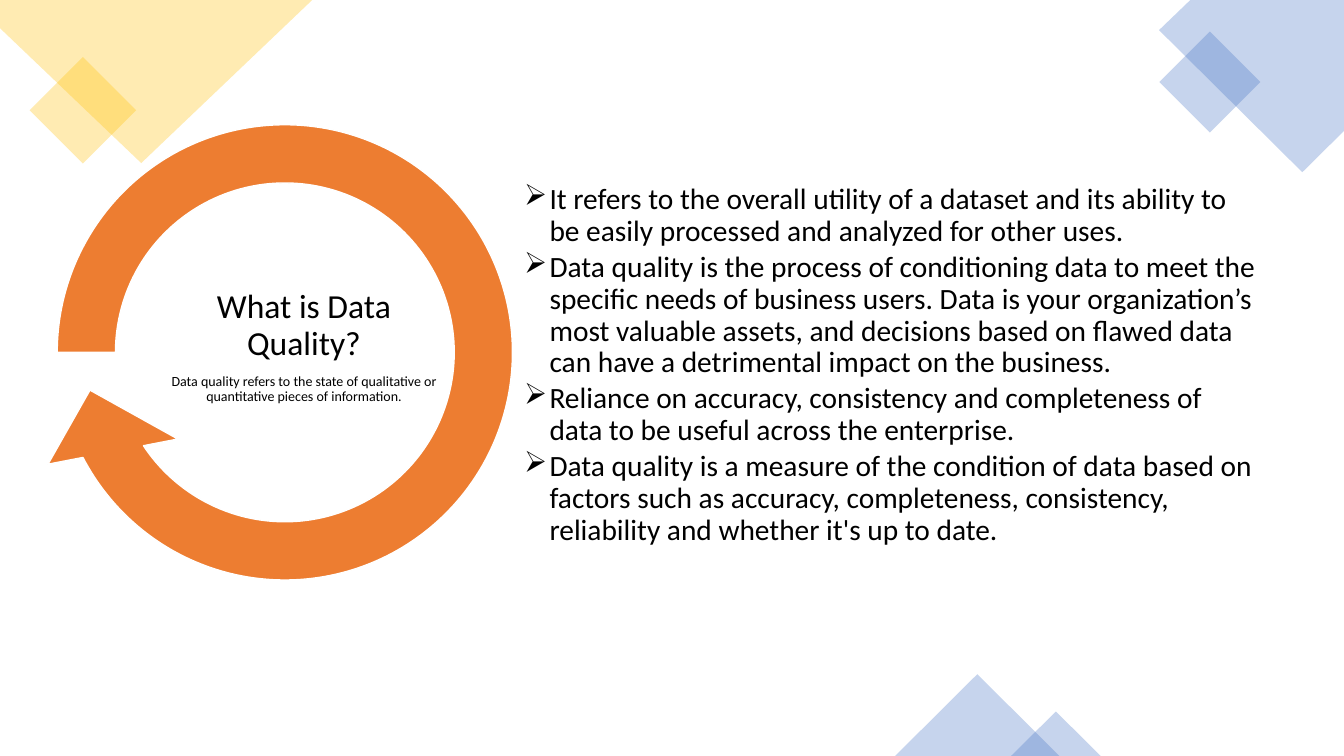
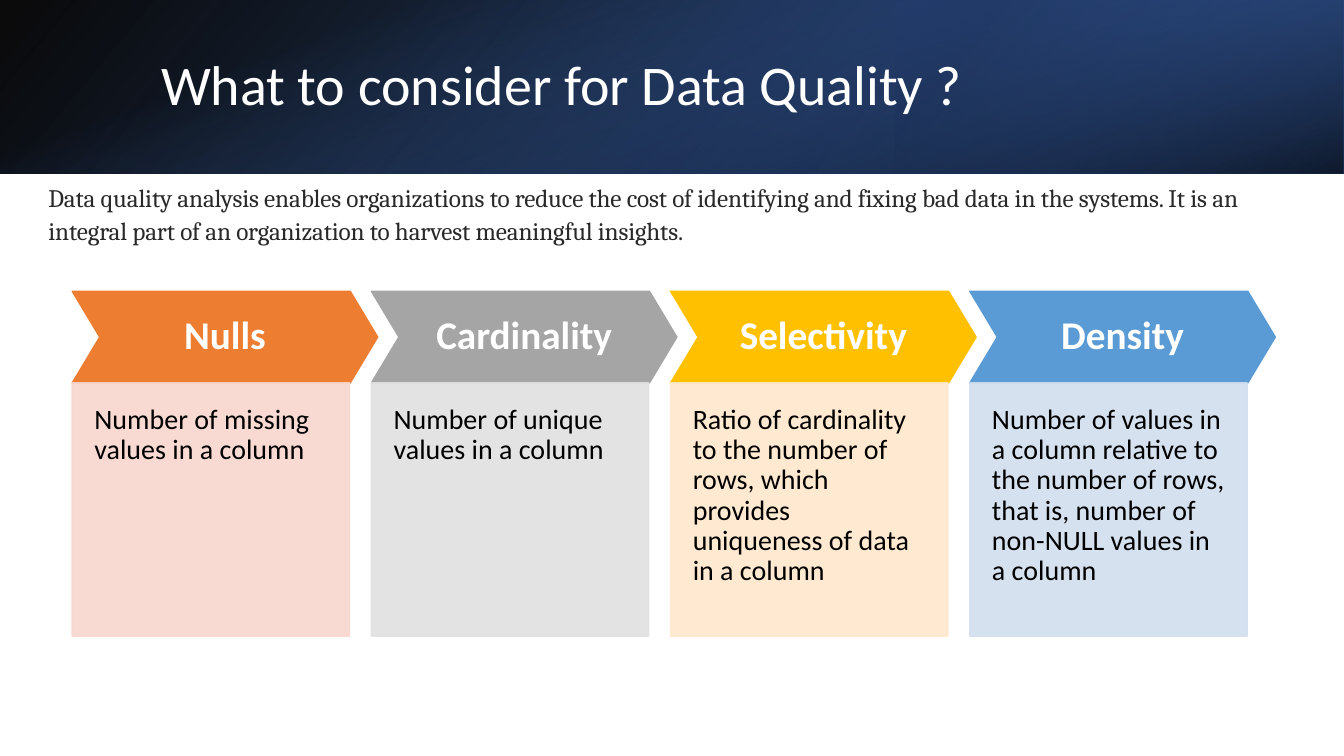
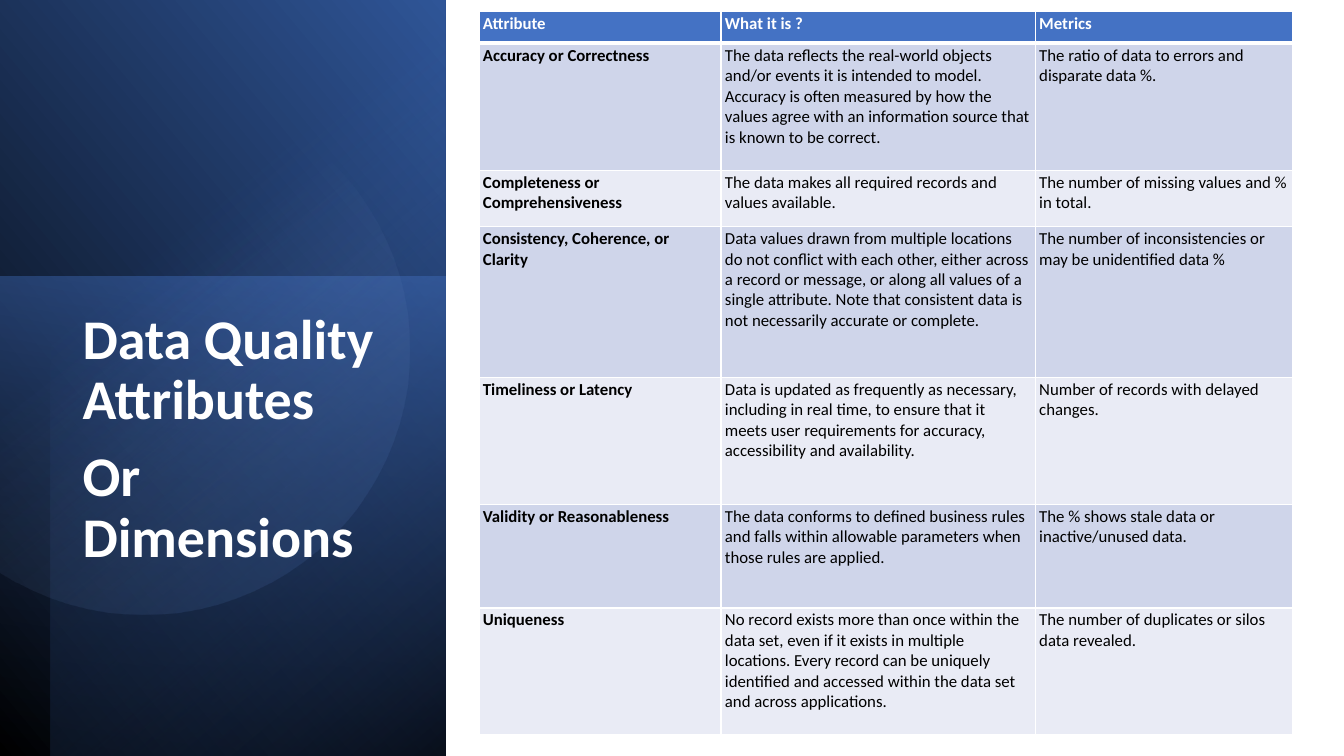
from math import acos, cos, sin

from lxml.etree import SubElement
from pptx import Presentation
from pptx.dml.color import RGBColor
from pptx.enum.shapes import MSO_SHAPE
from pptx.enum.text import MSO_ANCHOR, MSO_AUTO_SIZE, PP_ALIGN
from pptx.oxml.ns import qn
from pptx.util import Cm, Pt

BLACK = RGBColor(0x00, 0x00, 0x00)
WHITE = RGBColor(0xFF, 0xFF, 0xFF)
INK = RGBColor(0x29, 0x29, 0x29)
BLUE = RGBColor(0x44, 0x72, 0xC4)
DEEP_BLUE = RGBColor(0x2F, 0x55, 0x97)
NAVY = RGBColor(0x20, 0x38, 0x64)
PALE_BLUE = RGBColor(0x8F, 0xAA, 0xDC)
GOLD = RGBColor(0xFF, 0xC0, 0x00)
ORANGE = RGBColor(0xED, 0x7D, 0x31)
GREY = RGBColor(0xA5, 0xA5, 0xA5)
SKY = RGBColor(0x5B, 0x9B, 0xD5)
ORANGE_TINT = RGBColor(0xF8, 0xD7, 0xCE)
GREY_TINT = RGBColor(0xE1, 0xE1, 0xE1)
GOLD_TINT = RGBColor(0xFF, 0xE8, 0xCC)
SKY_TINT = RGBColor(0xD2, 0xDE, 0xEF)
ROW_TINTS = (RGBColor(0xE9, 0xEB, 0xF5), RGBColor(0xCF, 0xD5, 0xEA))

SLIDE_W, SLIDE_H = 33.87, 19.05
TITLE_ONLY, BLANK_MARGIN = 5, (0.25, 0.13, 0.25, 0.13)

DEFINITION_TITLE = [
    ("What is Data Quality?", {"size": Pt(24)}),
    ("Data quality refers to the state of qualitative or quantitative pieces of information.", {"size": Pt(10)}),
]
DEFINITION_POINTS = [
    "It refers to the overall utility of a dataset and its ability to be easily processed and analyzed for other uses.",
    "Data quality is the process of conditioning data to meet the specific needs of business users. Data is your "
    "organization’s most valuable assets, and decisions based on flawed data can have a detrimental impact on the business.",
    "Reliance on accuracy, consistency and completeness of data to be useful across the enterprise.",
    "Data quality is a measure of the condition of data based on factors such as accuracy, completeness, "
    "consistency, reliability and whether it's up to date.",
]
CORNER_PIECES = [
    (MSO_SHAPE.RECTANGLE, (1.14, 1.83, 1.9, 1.9), 45, GOLD),
    (MSO_SHAPE.RECTANGLE, (29.59, 1.17, 1.8, 1.8), 45, BLUE),
    (MSO_SHAPE.ISOSCELES_TRIANGLE, (22.56, 16.99, 4.14, 2.06), 0, BLUE),
    (MSO_SHAPE.ISOSCELES_TRIANGLE, (25.48, 17.93, 2.26, 1.12), 0, BLUE),
]
CORNER_OUTLINES = [
    ([(0, 0), (7.87, 0), (3.56, 4.11), (0, 0.71)], GOLD),
    ([(30, 0), (SLIDE_W, 0), (SLIDE_W, 3.3), (32.82, 4.34), (29.21, 0.76)], BLUE),
]

CONSIDER_TITLE = "What to consider for Data Quality ?"
CONSIDER_INTRO = (
    "Data quality analysis enables organizations to reduce the cost of identifying and fixing bad data in the "
    "systems. It is an integral part of an organization to harvest meaningful insights."
)
MEASURES = [
    ("Nulls", "Number of missing values in a column", ORANGE, ORANGE_TINT),
    ("Cardinality", "Number of unique values in a column", GREY, GREY_TINT),
    ("Selectivity", "Ratio of cardinality to the number of rows, which provides uniqueness of data in a column",
     GOLD, GOLD_TINT),
    ("Density", "Number of values in a column relative to the number of rows, that is, number of non-NULL "
     "values in a column", SKY, SKY_TINT),
]
TOP_BAND = [
    ((0, 0, SLIDE_W, 4.37), 0, True, 140, [(0, BLACK, 96), (100, DEEP_BLUE, 100)]),
    ((22.58, 0, 11.29, 4.37), 180, True, 320, [(19, NAVY, 68), (100, BLUE, 79)]),
    ((14.75, -14.75, 4.37, SLIDE_W), 90, False, 340, [(23, BLUE, 0), (99, BLACK, 74)]),
]

ATTRIBUTES_TITLE = ["Data Quality Attributes", "Or Dimensions"]
SIDE_BAND = [
    ((-3.94, 3.94, 19.1, 11.23), 90, True, 310, [(0, BLACK, 100), (100, DEEP_BLUE, 100)]),
    ((-0.43, 7.39, 12.09, 11.23), 270, False, 190, [(0, BLUE, 50), (100, NAVY, 0)]),
    ((-3.28, 4.55, SLIDE_H, 9.96), 270, True, 220, [(0, BLACK, 59), (69, BLUE, 0)]),
]
CIRCLE_X, CIRCLE_Y, CIRCLE_R = 3.63, 8.81, 6.68
CIRCLE_FADE = [(39, PALE_BLUE, 0), (100, DEEP_BLUE, 26)]
COLUMN_WIDTHS = [6.1, 7.92, 6.48]
ATTRIBUTES = [
    (0.81, "Attribute", "What it is ?", "Metrics"),
    (3.2, "Accuracy or Correctness",
     "The data reflects the real-world objects and/or events it is intended to model. Accuracy is often measured "
     "by how the values agree with an information source that is known to be correct.",
     "The ratio of data to errors and disparate data %."),
    (1.42, "Completeness or Comprehensiveness",
     "The data makes all required records and values available.",
     "The number of missing values and % in total."),
    (3.8, "Consistency, Coherence, or Clarity",
     "Data values drawn from multiple locations do not conflict with each other, either across a record or "
     "message, or along all values of a single attribute. Note that consistent data is not necessarily accurate "
     "or complete.",
     "The number of inconsistencies or may be unidentified data %"),
    (3.2, "Timeliness or Latency",
     "Data is updated as frequently as necessary, including in real time, to ensure that it meets user "
     "requirements for accuracy, accessibility and availability.",
     "Number of records with delayed changes."),
    (2.61, "Validity or Reasonableness",
     "The data conforms to defined business rules and falls within allowable parameters when those rules are applied.",
     "The % shows stale data or inactive/unused data."),
    (3.2, "Uniqueness",
     "No record exists more than once within the data set, even if it exists in multiple locations. Every record "
     "can be uniquely identified and accessed within the data set and across applications.",
     "The number of duplicates or silos data revealed."),
]


def assign(target, values):
    for name, value in values.items():
        setattr(target, name, value)


def write(frame, texts, font, margins=BLANK_MARGIN, anchor=MSO_ANCHOR.TOP, **paragraph_format):
    sides = ("margin_left", "margin_top", "margin_right", "margin_bottom")
    assign(frame, {side: Cm(margin) for side, margin in zip(sides, margins)})
    assign(frame, {"word_wrap": True, "auto_size": MSO_AUTO_SIZE.NONE, "vertical_anchor": anchor})
    layout = {"alignment": PP_ALIGN.LEFT, "line_spacing": 0.9} | paragraph_format
    for index, text in enumerate(texts):
        text, own_font = text if isinstance(text, tuple) else (text, {})
        paragraph = frame.add_paragraph() if index else frame.paragraphs[0]
        assign(paragraph, layout)
        run = paragraph.add_run()
        run.text = text
        values = {"name": "Calibri", "color": BLACK} | font | own_font
        run.font.color.rgb = values.pop("color")
        assign(run.font, values)


def write_title(slide, box, texts, font, **options):
    title = slide.shapes.title
    assign(title, dict(zip(("left", "top", "width", "height"), map(Cm, box))))
    write(title.text_frame, texts, font, **options)
    slide.shapes._spTree.append(title._element)


def add_text(slide, box, texts, font, **options):
    frame = slide.shapes.add_textbox(*map(Cm, box)).text_frame
    write(frame, texts, font, **options)
    return frame


def set_alphas(shape, alphas):
    for colour, alpha in zip(shape._element.spPr.iter(qn("a:srgbClr")), alphas):
        SubElement(colour, qn("a:alpha"), val=str(alpha * 1000))


def paint(shape, colour, alpha=100, line=None):
    shape.shadow.inherit = False
    shape.fill.solid()
    shape.fill.fore_color.rgb = colour
    if line is None:
        shape.line.fill.background()
    else:
        shape.line.color.rgb = line
        shape.line.width = Pt(1)
    set_alphas(shape, (alpha, alpha))
    return shape


def paint_gradient(shape, angle, stops):
    shape.shadow.inherit = False
    shape.line.fill.background()
    shape.fill.gradient()
    shape.fill.gradient_angle = 360 - angle
    for stop, (position, colour, _) in zip(shape.fill.gradient_stops, stops):
        stop.position = position / 100
        stop.color.rgb = colour
    set_alphas(shape, [alpha for _, _, alpha in stops])


def add_preset(slide, preset, box):
    return slide.shapes.add_shape(preset, *map(Cm, box))


def add_outline(slide, points):
    corners = [(Cm(x), Cm(y)) for x, y in points]
    builder = slide.shapes.build_freeform(*corners[0])
    builder.add_line_segments(corners[1:], close=True)
    return builder.convert_to_shape()


def add_bands(slide, bands):
    for box, rotation, flipped, angle, stops in bands:
        band = add_preset(slide, MSO_SHAPE.RECTANGLE, box)
        band.rotation = rotation
        if flipped:
            band._element.spPr.find(qn("a:xfrm")).set("flipH", "1")
        paint_gradient(band, angle, stops)


def add_bullets(frame, symbol, indent):
    for paragraph in frame.paragraphs:
        properties = paragraph._p.get_or_add_pPr()
        properties.set("marL", str(Cm(indent)))
        properties.set("indent", str(-Cm(indent)))
        SubElement(properties, qn("a:buChar"), char=symbol)


def add_borders(cell, widths):
    properties = cell._tc.get_or_add_tcPr()
    for index, (side, width) in enumerate(widths.items()):
        border = SubElement(properties, qn(f"a:ln{side}"), w=str(Pt(width)))
        fill = SubElement(border, qn("a:solidFill"))
        SubElement(fill, qn("a:srgbClr"), val=str(WHITE))
        properties.insert(index, border)


def build_definition(slide):
    for preset, box, rotation, colour in CORNER_PIECES:
        paint(add_preset(slide, preset, box), colour, 30).rotation = rotation
    for points, colour in CORNER_OUTLINES:
        paint(add_outline(slide, points), colour, 30)
    cycle = paint(add_preset(slide, MSO_SHAPE.CIRCULAR_ARROW, (0.51, 2.21, 13.34, 13.34)), ORANGE, line=WHITE)
    for index, value in enumerate((0.11, 11.42, 90, 108, 0.125)):
        cycle.adjustments[index] = value
    tight = {"margins": (0.05,) * 4, "anchor": MSO_ANCHOR.MIDDLE}
    points = add_text(slide, (13.16, 4.32, 18.59, 9.78), DEFINITION_POINTS, {"size": Pt(21)},
                      space_after=Pt(3.15), **tight)
    add_bullets(points, "➢", 0.64)
    write_title(slide, (3.94, 6.88, 7.44, 3.73), DEFINITION_TITLE, {},
                alignment=PP_ALIGN.CENTER, space_after=Pt(8.4), **tight)


def build_consider(slide):
    add_bands(slide, TOP_BAND)
    write_title(slide, (3.81, 0.97, 27.89, 2.44), [CONSIDER_TITLE], {"size": Pt(40), "color": WHITE},
                anchor=MSO_ANCHOR.MIDDLE)
    left, top, pitch, chevron_w, chevron_h, body_w, body_h = 1.82, 7.34, 7.54, 7.7, 2.31, 6.99, 6.38
    for index, (name, meaning, colour, tint) in enumerate(MEASURES):
        x = left + index * pitch
        chevron = paint(add_preset(slide, MSO_SHAPE.CHEVRON, (x, top, chevron_w, chevron_h)), colour, line=colour)
        chevron.adjustments[0] = 0.3
        write(chevron.text_frame, [name], {"size": Pt(28), "bold": True, "color": WHITE},
              margins=(0.28,) * 4, anchor=MSO_ANCHOR.MIDDLE, alignment=PP_ALIGN.CENTER)
        body = paint(add_preset(slide, MSO_SHAPE.RECTANGLE, (x, top + chevron_h, body_w, body_h)), tint, 90, tint)
        write(body.text_frame, [meaning], {"size": Pt(20)}, margins=(0.56, 0.56, 0.56, 1.12))
    intro = add_text(slide, (0.97, 4.37, 31.8, 1.91), [CONSIDER_INTRO],
                     {"name": "Cambria", "size": Pt(18), "color": INK}, line_spacing=Pt(24))
    intro.paragraphs[0].runs[0].font._element.set("spc", "-10")


def build_attributes(slide):
    add_bands(slide, SIDE_BAND)
    steps, reach = 60, acos(-CIRCLE_X / CIRCLE_R)
    angles = [reach * (2 * step / steps - 1) for step in range(steps + 1)]
    arc = [(CIRCLE_X + CIRCLE_R * cos(angle), CIRCLE_Y + CIRCLE_R * sin(angle)) for angle in angles]
    paint_gradient(add_outline(slide, arc), 52, CIRCLE_FADE)
    write_title(slide, (1.83, 7.7, 8, 8.53), ATTRIBUTES_TITLE, {"size": Pt(40), "bold": True, "color": WHITE},
                space_after=Pt(12))
    heights = [row[0] for row in ATTRIBUTES]
    box = (12.07, 0.28, sum(COLUMN_WIDTHS), sum(heights))
    table = slide.shapes.add_table(len(ATTRIBUTES), len(COLUMN_WIDTHS), *map(Cm, box)).table
    for column, width in zip(table.columns, COLUMN_WIDTHS):
        column.width = Cm(width)
    for r, (height, *texts) in enumerate(ATTRIBUTES):
        table.rows[r].height = Cm(height)
        header = r == 0
        for c, text in enumerate(texts):
            cell = table.cell(r, c)
            cell.fill.solid()
            cell.fill.fore_color.rgb = BLUE if header else ROW_TINTS[r % 2]
            add_borders(cell, {"L": 1, "R": 1, "T": 3 if r == 1 else 1, "B": 3 if header else 1})
            font = {"size": Pt(12), "bold": header or c == 0, "color": WHITE if header else BLACK}
            write(cell.text_frame, [text], font, line_spacing=1.0)
            assign(cell, {"margin_left": Cm(0.1), "margin_right": Cm(0.1), "margin_top": Cm(0.05),
                          "margin_bottom": Cm(0.05), "vertical_anchor": MSO_ANCHOR.TOP})
            properties = cell._tc.txBody.find(qn("a:bodyPr"))
            properties.attrib.clear()
            for child in list(properties):
                properties.remove(child)


def main():
    deck = Presentation()
    assign(deck, {"slide_width": Cm(SLIDE_W), "slide_height": Cm(SLIDE_H)})
    for build in (build_definition, build_consider, build_attributes):
        build(deck.slides.add_slide(deck.slide_layouts[TITLE_ONLY]))
    deck.save("out.pptx")


if __name__ == "__main__":
    main()
